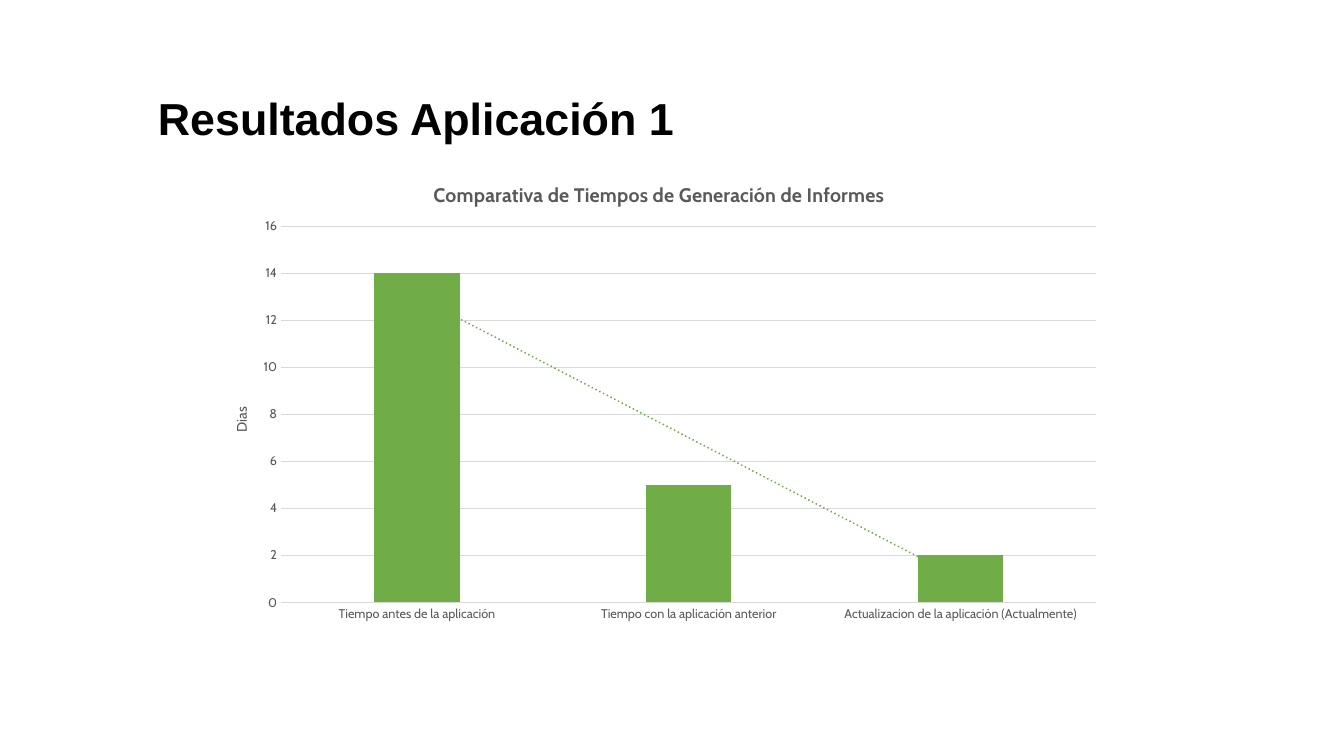
from lxml.etree import SubElement
from pptx import Presentation
from pptx.chart.data import CategoryChartData as ChartData
from pptx.dml.color import RGBColor
from pptx.enum.chart import XL_CHART_TYPE as ChartType, XL_TICK_MARK as TickMark
from pptx.enum.text import MSO_ANCHOR as Anchor
from pptx.oxml import parse_xml
from pptx.oxml.ns import nsdecls, qn
from pptx.util import Cm, Pt

BLACK = RGBColor(0x00, 0x00, 0x00)
GRAY = RGBColor(0x59, 0x59, 0x59)
GRID = RGBColor(0xD9, 0xD9, 0xD9)
GREEN = RGBColor(0x70, 0xAD, 0x47)

TIMES = {
    "Tiempo antes de la aplicación": 14,
    "Tiempo con la aplicación anterior": 5,
    "Actualizacion de la aplicación (Actualmente)": 2,
}


def style_font(font, name, size, color, bold=False):
    """Set the typeface, size, colour and weight of a font."""
    font.name, font.size, font.bold = name, Pt(size), bold
    font.color.rgb = color


def set_layout(parent, index, **settings):
    """Give a chart part a manual layout, as fractions of the chart."""
    layout = parent.find(qn("c:layout"))
    if layout is None:
        layout = parse_xml(f"<c:layout {nsdecls('c')}/>")
        parent.insert(index, layout)
    manual = SubElement(layout, qn("c:manualLayout"))
    for tag, value in settings.items():
        SubElement(manual, qn(f"c:{tag}")).set("val", str(value))


def write_chart_title(title, text, size, x, y, bold=False):
    """Write and place the title of the chart or of an axis."""
    title.text_frame.text = text
    style_font(title.text_frame.paragraphs[0].font, "Cabin", size, GRAY, bold)
    set_layout(title.element, 1, xMode="edge", yMode="edge", x=x, y=y)


def style_axis(axis):
    """Give an axis small gray labels and no tick marks."""
    axis.major_tick_mark = axis.minor_tick_mark = TickMark.NONE
    style_font(axis.tick_labels.font, "Cabin", 9, GRAY)


def style_line(line):
    """Draw a thin light gray line."""
    line.color.rgb = GRID
    line.width = Pt(0.75)


def add_trend(chart):
    """Add a dotted linear trend line to the series."""
    trend = parse_xml(
        f'<c:trendline {nsdecls("c", "a")}><c:spPr><a:ln w="{Pt(1.5)}" cap="rnd">'
        f'<a:solidFill><a:srgbClr val="{GREEN}"/></a:solidFill>'
        '<a:prstDash val="sysDot"/></a:ln></c:spPr>'
        '<c:trendlineType val="linear"/><c:dispRSqr val="0"/>'
        '<c:dispEq val="0"/></c:trendline>'
    )
    next(chart.element.iter(qn("c:cat"))).addprevious(trend)


def add_heading(slide, left, top, width, height):
    """Write the slide heading in the given box."""
    frame = slide.shapes.add_textbox(left, top, width, height).text_frame
    frame.word_wrap = True
    frame.vertical_anchor = Anchor.MIDDLE
    heading = frame.paragraphs[0]
    heading.text = "Resultados Aplicación 1"
    heading.line_spacing = 0.9
    style_font(heading.font, "Arial", 32, BLACK, True)


def add_times_chart(slide, left, top, width, height):
    """Draw the report time columns with their trend in the given box."""
    data = ChartData()
    data.categories = list(TIMES)
    data.add_series("Series 1", list(TIMES.values()))
    chart = slide.shapes.add_chart(
        ChartType.COLUMN_CLUSTERED, left, top, width, height, data
    ).chart
    style_font(chart.font, "Cabin", 10, BLACK)
    chart.has_legend = False
    write_chart_title(
        chart.chart_title, "Comparativa de Tiempos de Generación de Informes",
        14, 0.25, 0.04, True,
    )

    columns = chart.plots[0]
    columns.gap_width, columns.overlap = 219, -27
    columns.vary_by_categories = False
    times = columns.series[0]
    times.format.fill.solid()
    times.format.fill.fore_color.rgb = GREEN
    add_trend(chart)

    stages, days = chart.category_axis, chart.value_axis
    style_axis(stages)
    style_line(stages.format.line)
    style_axis(days)
    days.format.line.fill.background()
    style_line(days.major_gridlines.format.line)
    days.minimum_scale, days.maximum_scale, days.major_unit = 0, 16, 2
    write_chart_title(days.axis_title, "Dias", 10, 0.03, 0.52)
    set_layout(
        next(chart.element.iter(qn("c:plotArea"))), 0, layoutTarget="inner",
        xMode="edge", yMode="edge", x=0.087, y=0.143, w=0.893, h=0.794,
    )


def main():
    """Build the results slide and save it."""
    deck = Presentation()
    deck.slide_width, deck.slide_height = Cm(33.87), Cm(19.05)
    slide = deck.slides.add_slide(deck.slide_layouts[6])
    add_heading(slide, Cm(3.73), Cm(1.85), Cm(15.8), Cm(2.39))
    add_times_chart(slide, Cm(5.08), Cm(3.99), Cm(23.01), Cm(11.94))
    deck.save("out.pptx")


if __name__ == "__main__":
    main()
